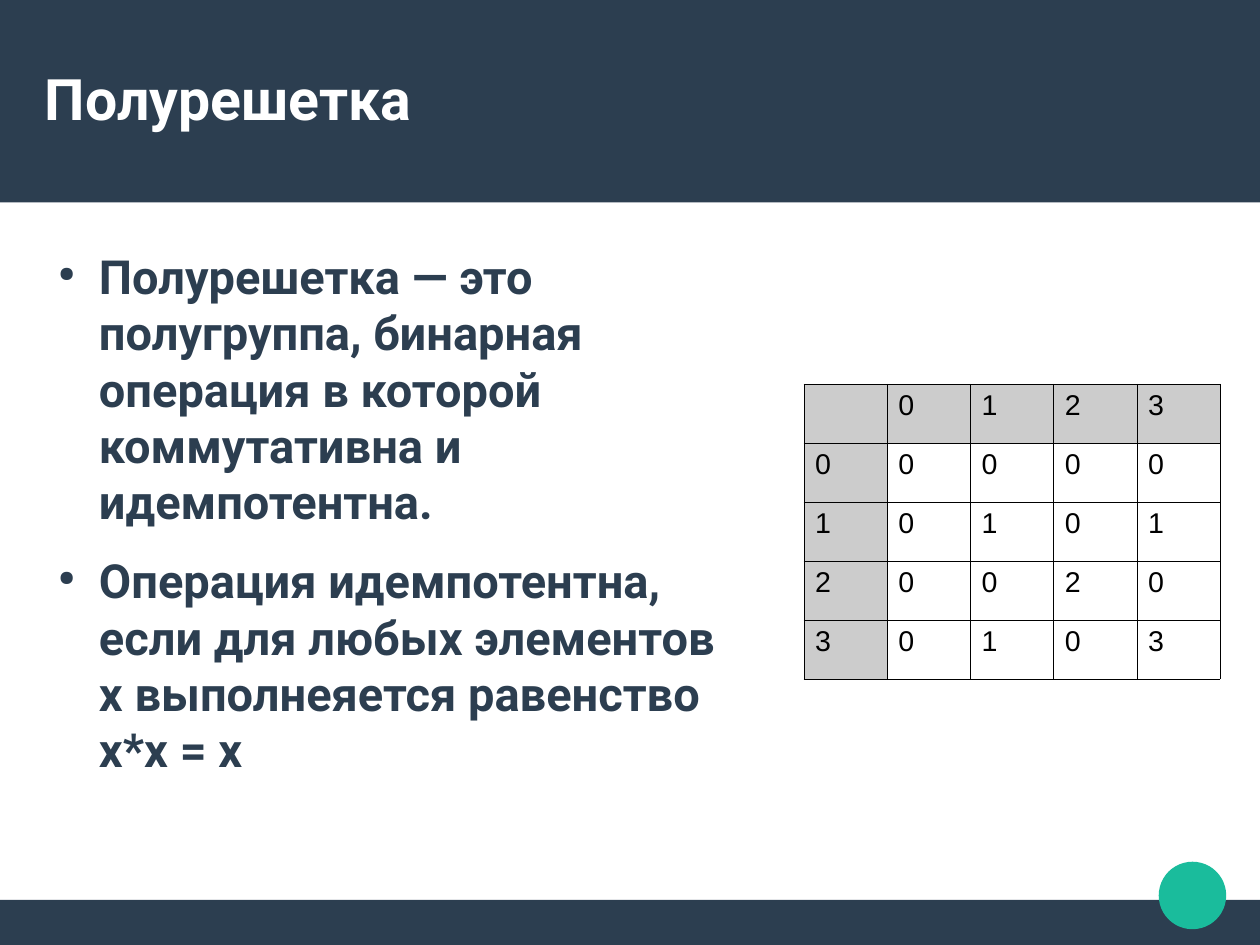
"""Build the slide that defines a semilattice beside its operation table."""
from lxml.etree import SubElement
from pptx import Presentation
from pptx.dml.color import RGBColor
from pptx.enum.shapes import MSO_SHAPE
from pptx.enum.text import MSO_ANCHOR
from pptx.oxml import parse_xml
from pptx.oxml.ns import nsdecls, qn
from pptx.util import Cm, Pt

NAVY, TEAL, WHITE, GRAY, BLACK = "2C3E50", "1ABC9C", "FFFFFF", "CCCCCC", "000000"


def color(hex_code):
    return RGBColor.from_string(hex_code)


def write(paragraph, text, size, font, ink, bold=False):
    run = paragraph.add_run()
    run.text = text
    run.font.size = Pt(size)
    run.font.name = font
    run.font.bold = bold
    run.font.color.rgb = color(ink)


deck = Presentation()
deck.slide_width, deck.slide_height = Cm(28), Cm(21)
slide = deck.slides.add_slide(deck.slide_layouts[6])
col, row = deck.slide_width / 28, deck.slide_height / 21

decorations = [
    (MSO_SHAPE.RECTANGLE, 0, 20, 28, 1, NAVY),
    (MSO_SHAPE.RECTANGLE, 0, 0, 28, 4.5, NAVY),
    (MSO_SHAPE.OVAL, 25.75, 19.15, 1.5, 1.5, TEAL),
]
for preset, x, y, wide, high, paint in decorations:
    decoration = slide.shapes.add_shape(
        preset, int(x * col), int(y * row), int(wide * col), int(high * row))
    decoration.shadow.inherit = False
    decoration.fill.solid()
    decoration.fill.fore_color.rgb = color(paint)
    decoration.line.fill.background()

frames = []
for y, wide, high in [(0.84, 26, 2.66), (5.5, 15.6, 14)]:
    frame = slide.shapes.add_textbox(
        int(col), int(y * row), int(wide * col), int(high * row)).text_frame
    frame.word_wrap = True
    frame.margin_left = frame.margin_right = frame.margin_top = frame.margin_bottom = 0
    frames.append(frame)
heading, definitions = frames

heading.vertical_anchor = MSO_ANCHOR.MIDDLE
write(heading.paragraphs[0], "Полурешетка", 36, "Roboto", WHITE, bold=True)

statements = [
    "Полурешетка — это полугруппа, бинарная операция в которой коммутативна и идемпотентна.",
    "Операция идемпотентна, если для любых элементов x выполнеяется равенство x*x = x",
]
definitions.add_paragraph()
for paragraph, statement in zip(definitions.paragraphs, statements):
    paragraph.space_after = Pt(14.1)
    properties = paragraph._p.get_or_add_pPr()
    properties.set("marL", str(int(1.2 * col)))
    properties.set("indent", str(int(-0.9 * col)))
    bullet_color = SubElement(properties, qn("a:buClr"))
    SubElement(bullet_color, qn("a:srgbClr"), val=NAVY)
    SubElement(properties, qn("a:buSzPct"), val="45000")
    SubElement(properties, qn("a:buChar"), char="●")
    write(paragraph, statement, 29.6, "Roboto", NAVY, bold=True)

products = [
    ["", "0", "1", "2", "3"],
    ["0", "0", "0", "0", "0"],
    ["1", "0", "1", "0", "1"],
    ["2", "0", "0", "2", "0"],
    ["3", "0", "1", "0", "3"],
]
count = len(products)
operation = slide.shapes.add_table(
    count, count, int(17.86 * col), int(8.53 * row),
    int(count * 1.85 * col), int(count * 1.31 * row)).table
for i, values in enumerate(products):
    for j, value in enumerate(values):
        cell = operation.cell(i, j)
        cell.fill.solid()
        cell.fill.fore_color.rgb = color(WHITE if i and j else GRAY)
        if value:
            write(cell.text_frame.paragraphs[0], value, 18, "Arial", BLACK)
        for order, side in enumerate("LRTB"):
            cell._tc.get_or_add_tcPr().insert(order, parse_xml(
                f'<a:ln{side} {nsdecls("a")} w="720"><a:solidFill>'
                f'<a:srgbClr val="{BLACK}"/></a:solidFill></a:ln{side}>'))

deck.save("out.pptx")
